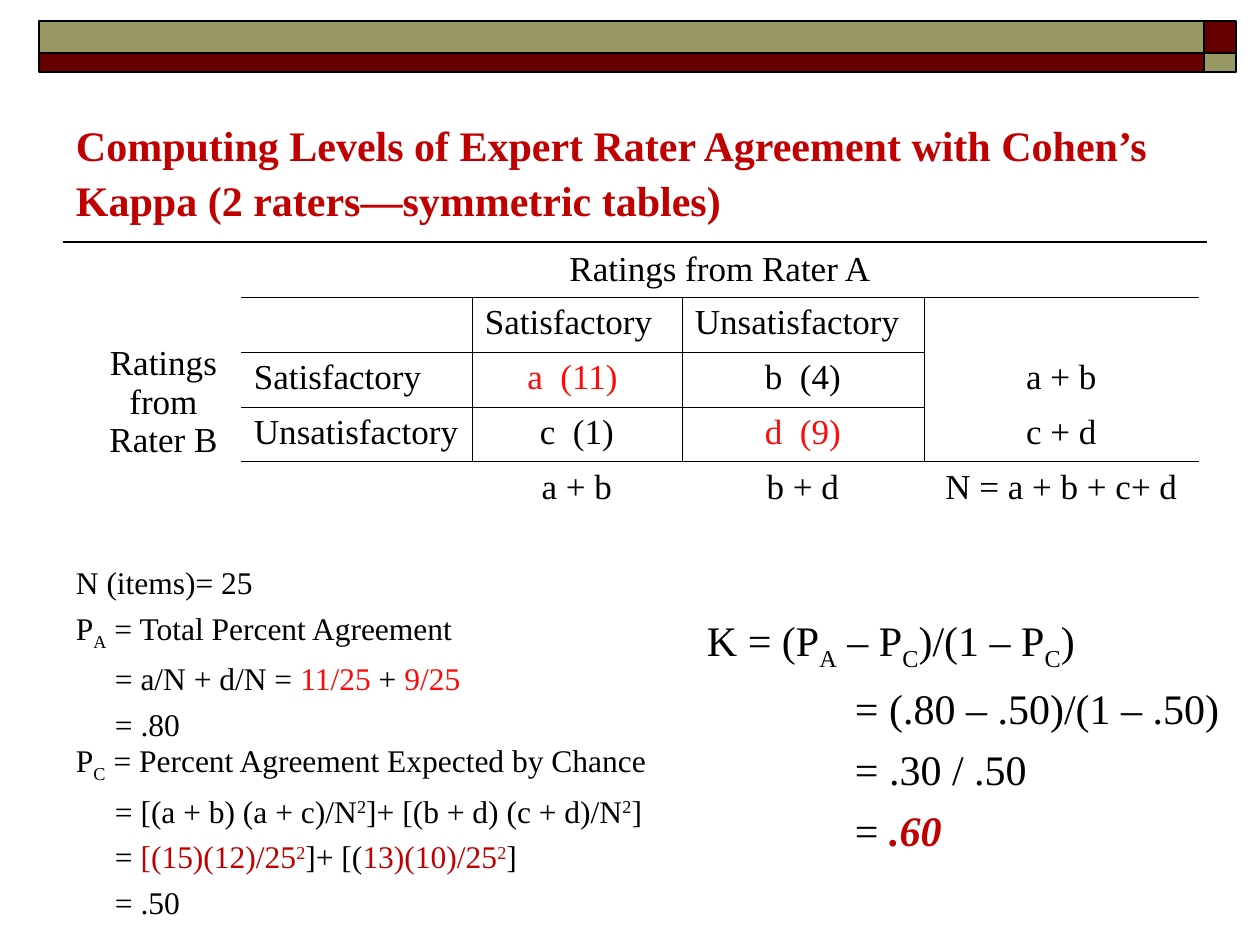
import pptx
import pptx.dml.color
import pptx.enum.shapes
import pptx.enum.text
import pptx.oxml
import pptx.oxml.ns
import pptx.util
from lxml import etree

PX = 914400 // 126
FONT = "Times New Roman"
BLACK, RED, CRIMSON = "000000", "FF0A0A", "C00000"
MAROON, OLIVE = "660000", "999966"
PAD_X, PAD_Y = 13, 6
LEFT = pptx.enum.text.PP_ALIGN.LEFT
CENTER = pptx.enum.text.PP_ALIGN.CENTER
TOP = pptx.enum.text.MSO_ANCHOR.TOP
MIDDLE = pptx.enum.text.MSO_ANCHOR.MIDDLE
BOTTOM = pptx.enum.text.MSO_ANCHOR.BOTTOM
SUB = {"baseline": -25000}
SUP = {"baseline": 30000}
SUP_CRIMSON = {"baseline": 30000, "color": CRIMSON}


def px(*lengths):
    return [pptx.util.Emu(length * PX) for length in lengths]


def color(hex_value):
    return pptx.dml.color.RGBColor.from_string(hex_value)


def apply(target, values):
    for name, value in values.items():
        setattr(target, name, value)


def margins(left=PAD_X, top=PAD_Y):
    sides = ("margin_left", "margin_top", "margin_right", "margin_bottom")
    return dict(zip(sides, px(left, top, PAD_X, PAD_Y)))


def add_span(para, text, size, style):
    """Add a run; style may hold color, baseline and font attributes."""
    style = dict(style)
    hex_value = style.pop("color", BLACK)
    baseline = style.pop("baseline", None)
    span = para.add_run()
    span.text = text
    apply(span.font, {"name": FONT, "size": pptx.util.Pt(size), **style})
    span.font.color.rgb = color(hex_value)
    if baseline:
        span._r.get_or_add_rPr().set("baseline", str(baseline))


def add_text(slide, box, lines, size, space=0, spacing=1.0, anchor=TOP):
    """Each line is (indent in px, [text or (text, style), ...])."""
    frame = slide.shapes.add_textbox(*px(*box)).text_frame
    apply(frame, {"word_wrap": True, "vertical_anchor": anchor, **margins()})
    for number, (indent, spans) in enumerate(lines):
        para = frame.add_paragraph() if number else frame.paragraphs[0]
        apply(para, {"space_before": pptx.util.Pt(space), "line_spacing": spacing})
        para._p.get_or_add_pPr().set("marL", str(indent * PX))
        for part in spans:
            text, style = (part, {}) if isinstance(part, str) else part
            add_span(para, text, size, style)


def add_band(slide, box):
    """Two-row header band with a contrasting square at its right end."""
    left, top, width, height = box
    square, split = 32, 32
    rows = ((top, split, OLIVE, MAROON),
            (top + split, height - split, MAROON, OLIVE))
    for row_top, row_height, long_fill, end_fill in rows:
        for x, w, fill in ((left, width - square, long_fill),
                           (left + width - square, square, end_fill)):
            bar = slide.shapes.add_shape(
                pptx.enum.shapes.MSO_SHAPE.RECTANGLE, *px(x, row_top, w, row_height))
            bar.shadow.inherit = False
            bar.fill.solid()
            bar.fill.fore_color.rgb = color(fill)
            bar.line.color.rgb = color(BLACK)
            bar.line.width = pptx.util.Pt(1)


def add_rule(slide, left, right, y):
    rule = slide.shapes.add_connector(
        pptx.enum.shapes.MSO_CONNECTOR.STRAIGHT, *px(left, y, right, y))
    rule.line.color.rgb = color(BLACK)
    rule.line.width = pptx.util.Pt(1)
    etree.SubElement(rule._element.spPr, pptx.oxml.ns.qn("a:effectLst"))


def set_borders(cell, visible):
    """Draw the sides named in visible (letters of LRTB) and hide the rest."""
    properties = cell._tc.get_or_add_tcPr()
    for position, side in enumerate("LRTB"):
        paint = ('<a:solidFill><a:srgbClr val="%s"/></a:solidFill>' % BLACK
                 if side in visible else "<a:noFill/>")
        properties.insert(position, pptx.oxml.parse_xml(
            '<a:ln%s %s w="5715">%s</a:ln%s>'
            % (side, pptx.oxml.ns.nsdecls("a"), paint, side)))


def border_sides(row, column):
    """Grid lines close the 3 by 3 core; the totals column has only its outer edges."""
    if column == 0:
        return ""
    sides = ""
    if row in (1, 4) or (row in (2, 3) and column < 4):
        sides += "T"
    if row in (0, 3) or (row in (1, 2) and column < 4):
        sides += "B"
    if 1 <= row <= 3:
        sides += ("L" if column > 1 else "") + ("R" if column < 4 else "")
    return sides


def add_ratings_table(slide, left, top):
    widths = (220, 231, 210, 242, 275)
    heights = (55, 55, 55, 55, 241)
    texts = (
        ("Ratings from Rater B", "Ratings from Rater A", "", "", ""),
        ("", "", "Satisfactory", "Unsatisfactory", ""),
        ("", "Satisfactory", "a  (11) ", "b  (4)", "a + b"),
        ("", "Unsatisfactory", "c  (1)", "d  (9)", "c + d"),
        ("", "", "a + b", "b + d", "N = a + b + c+ d"),
    )
    agreement = ((2, 2), (3, 3))
    table = slide.shapes.add_table(
        5, 5, *px(left, top, sum(widths), sum(heights))).table
    apply(table, {"first_row": False, "horz_banding": False})
    for column, width in zip(table.columns, px(*widths)):
        column.width = width
    for row, height in zip(table.rows, px(*heights)):
        row.height = height
    table.cell(0, 0).merge(table.cell(4, 0))
    table.cell(0, 1).merge(table.cell(0, 4))
    for r, row in enumerate(texts):
        for c, text in enumerate(row):
            cell = table.cell(r, c)
            cell.fill.background()
            set_borders(cell, border_sides(r, c))
            apply(cell, margins())
            if text:
                para = cell.text_frame.paragraphs[0]
                heading = r == 1 or (c == 1 and r > 0)
                para.alignment = LEFT if heading else CENTER
                add_span(para, text, 20,
                         {"color": RED if (r, c) in agreement else BLACK})
    apply(table.cell(0, 0), margins(left=78, top=102))
    table.cell(0, 1).vertical_anchor = MIDDLE


def add_agreement(slide, box):
    add_text(slide, box, [
        (0, ["N (items)= 25"]),
        (0, ["P", ("A", SUB), " = Total Percent Agreement"]),
        (39, ["= a/N + d/N = ", ("11/25", {"color": RED}), " + ",
              ("9/25", {"color": RED})]),
        (39, ["= .80"]),
    ], 18, space=4.5)


def add_chance(slide, box):
    add_text(slide, box, [
        (0, ["P", ("C", SUB), " = Percent Agreement Expected by Chance"]),
        (39, ["= [(a + b) (a + c)/N", ("2", SUP), "]+ [(b + d) (c + d)/N",
              ("2", SUP), "]"]),
        (39, ["= ", ("[(15)(12)/25", {"color": CRIMSON}), ("2", SUP_CRIMSON),
              "]+ [(", ("13)(10)/25", {"color": CRIMSON}), ("2", SUP_CRIMSON), "]"]),
        (39, ["= .50"]),
    ], 18, space=4.5)


def add_kappa(slide, box):
    result = {"color": CRIMSON, "bold": True, "italic": True}
    add_text(slide, box, [
        (64, ["K = (P", ("A", SUB), " – P", ("C", SUB), ")/(1 – P", ("C", SUB), ")"]),
        (212, ["= (.80 – .50)/(1 – .50)"]),
        (212, ["= .30 / .50"]),
        (212, ["= ", (".60", result)]),
    ], 24, space=6)


def main():
    deck = pptx.Presentation()
    deck.slide_width, deck.slide_height = px(1260, 945)
    slide = deck.slides.add_slide(deck.slide_layouts[6])
    add_rule(slide, 63, 1207, 242)
    add_band(slide, (39, 21, 1197, 51))
    title = ("Computing Levels of Expert Rater Agreement with Cohen’s "
             "Kappa (2 raters—symmetric tables)")
    add_text(slide, (63, 73, 1134, 158),
             [(0, [(title, {"color": CRIMSON, "bold": True})])],
             24, spacing=1.1, anchor=BOTTOM)
    add_kappa(slide, (630, 609, 609, 262))
    add_ratings_table(slide, 21, 242)
    add_chance(slide, (63, 735, 630, 179))
    add_agreement(slide, (63, 557, 504, 179))
    deck.save("out.pptx")


if __name__ == "__main__":
    main()
